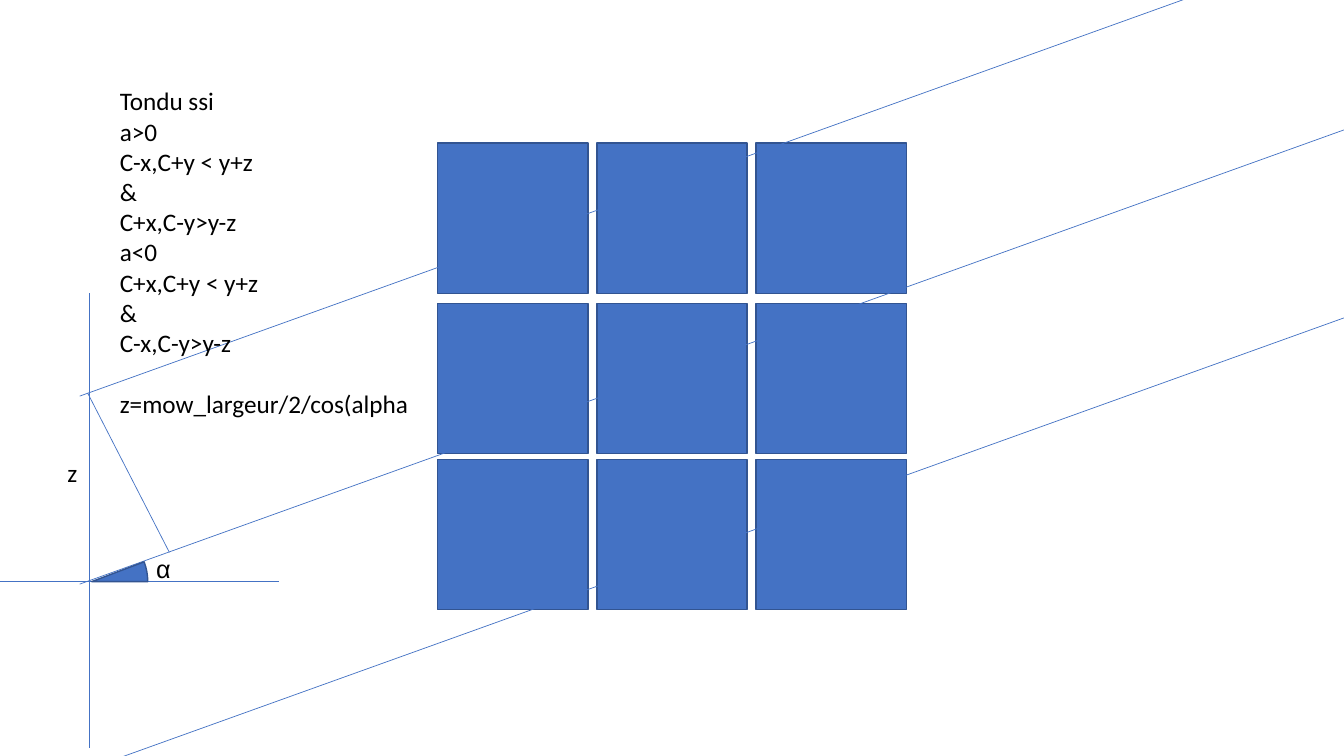
from collections import namedtuple

from lxml import etree
from pptx import Presentation
from pptx import util as u
from pptx.dml.color import RGBColor
from pptx.enum import shapes, text
from pptx.oxml import ns

BLUE = RGBColor(0x44, 0x72, 0xC4)
DARK_BLUE = RGBColor(0x32, 0x54, 0x91)
BLACK = RGBColor(0, 0, 0)

Box = namedtuple("Box", "left top width height")

CONDITIONS = [
    "Tondu ssi",
    "a>0",
    "C-x,C+y < y+z",
    "&",
    "C+x,C-y>y-z",
    "a<0",
    "C+x,C+y < y+z",
    "&",
    "C-x,C-y>y-z",
]
FORMULA = "z=mow_largeur/2/cos(alpha"


def add_filled(page, kind, box):
    shape = page.shapes.add_shape(kind, *map(u.Inches, box))
    shape.shadow.inherit = False
    shape.fill.solid()
    shape.fill.fore_color.rgb = BLUE
    shape.line.color.rgb = DARK_BLUE
    shape.line.width = u.Pt(1)
    return shape


def add_line(page, *ends):
    line = page.shapes.add_connector(
        shapes.MSO_CONNECTOR.STRAIGHT, *map(u.Inches, ends))
    line.line.color.rgb = BLUE
    line.line.width = u.Pt(0.5)
    etree.SubElement(line.element.spPr, ns.qn("a:effectLst"))


def add_text(page, lines, box, font="Calibri", size=18, wrap=False, last_gap=0):
    frame = page.shapes.add_textbox(*map(u.Inches, box)).text_frame
    frame.word_wrap = wrap
    frame.auto_size = text.MSO_AUTO_SIZE.SHAPE_TO_FIT_TEXT
    for index, line in enumerate(lines):
        para = frame.paragraphs[0] if index == 0 else frame.add_paragraph()
        span = para.add_run()
        span.text = line
        span.font.name = font
        span.font.size = u.Pt(size)
        span.font.color.rgb = BLACK
    if last_gap:
        para.space_before = u.Pt(last_gap)


def draw_cells(page, box, side=1.49, row_offsets=(0, 1.59, 3.14)):
    column_step = (box.width - side) / 2
    for row_offset in row_offsets:
        for column in range(3):
            cell = Box(box.left + column * column_step,
                       box.top + row_offset, side, side)
            add_filled(page, shapes.MSO_SHAPE.RECTANGLE, cell)


def draw_mowing_band(page, box, rise=4.65):
    spacing = (box.height - rise) / 2
    for index in range(3):
        start = box.top + rise + index * spacing
        add_line(page, box.left, start, box.left + box.width, start - rise)


def draw_angle(page, box, radius=0.555):
    axis_x, axis_y = box.left + 1.19, box.top + 2.86
    add_line(page, axis_x - 0.02, box.top + 0.99, axis_x + 0.79, box.top + 2.57)
    add_line(page, box.left, axis_y, box.left + box.width, axis_y)
    pie_box = Box(axis_x + 0.02 - radius, axis_y - radius, 2 * radius, 2 * radius)
    pie = add_filled(page, shapes.MSO_SHAPE.PIE, pie_box)
    pie.rotation = 90
    pie.adjustments[0] = 149.58
    pie.adjustments[1] = 162
    add_text(page, ["α"], Box(axis_x + 0.56, axis_y - 0.33, 0.44, 0.4), font="Arial")
    add_text(page, ["z"], Box(axis_x - 0.32, axis_y - 1.28, 0.37, 0.4))
    add_line(page, axis_x, box.top, axis_x, box.top + box.height)


def draw_conditions(page, box):
    add_text(page, CONDITIONS + [FORMULA], box, wrap=True, last_gap=21.6)


deck = Presentation()
deck.slide_width = u.Inches(13.33)
deck.slide_height = u.Inches(7.5)
page = deck.slides.add_slide(deck.slide_layouts[6])

draw_cells(page, Box(4.34, 1.42, 4.65, 4.63))
draw_mowing_band(page, Box(0.79, -0.72, 12.94, 8.38))
draw_angle(page, Box(-0.3, 2.91, 3.07, 4.51))
draw_conditions(page, Box(1.09, 0.8, 6.67, 3.43))

deck.save("out.pptx")
